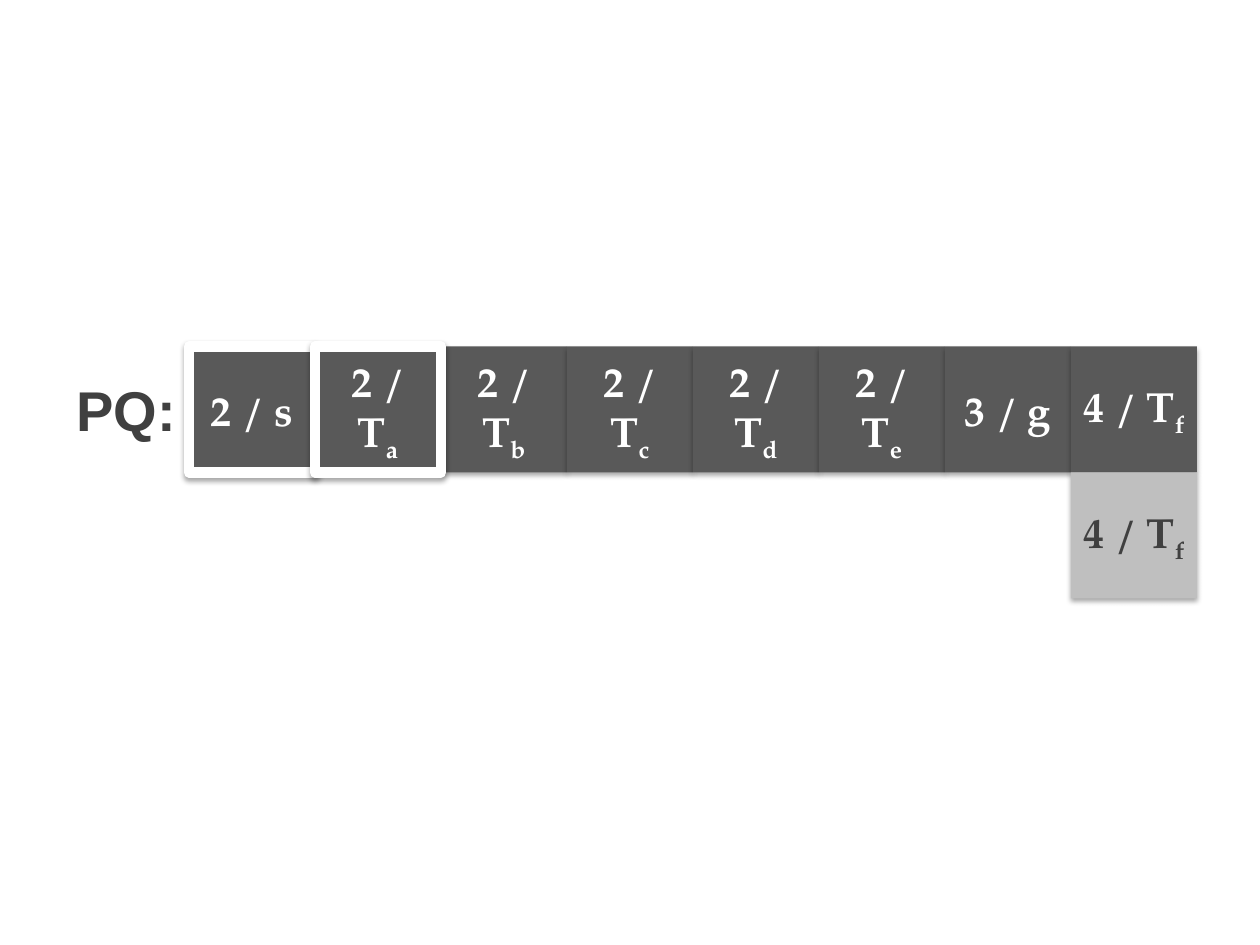
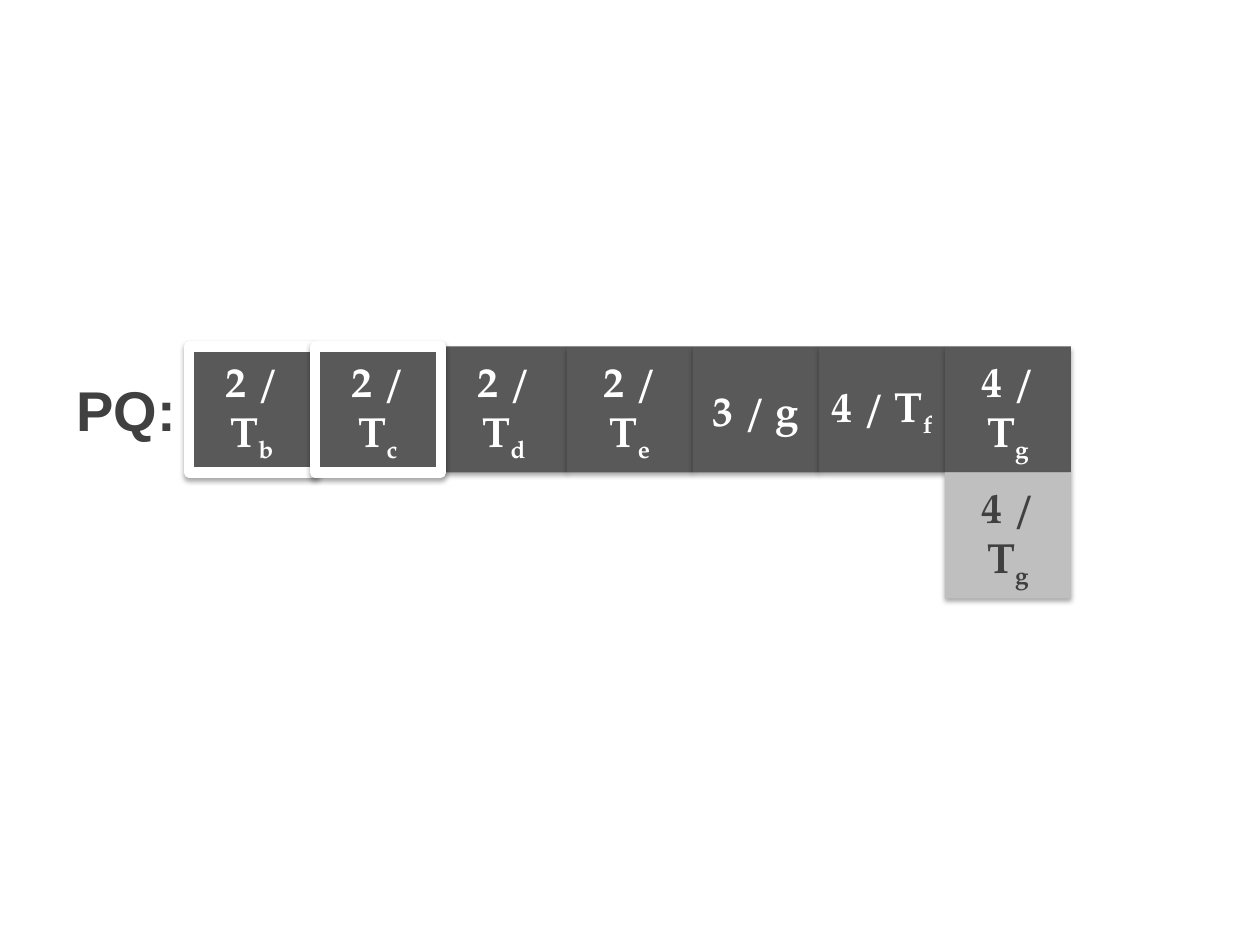
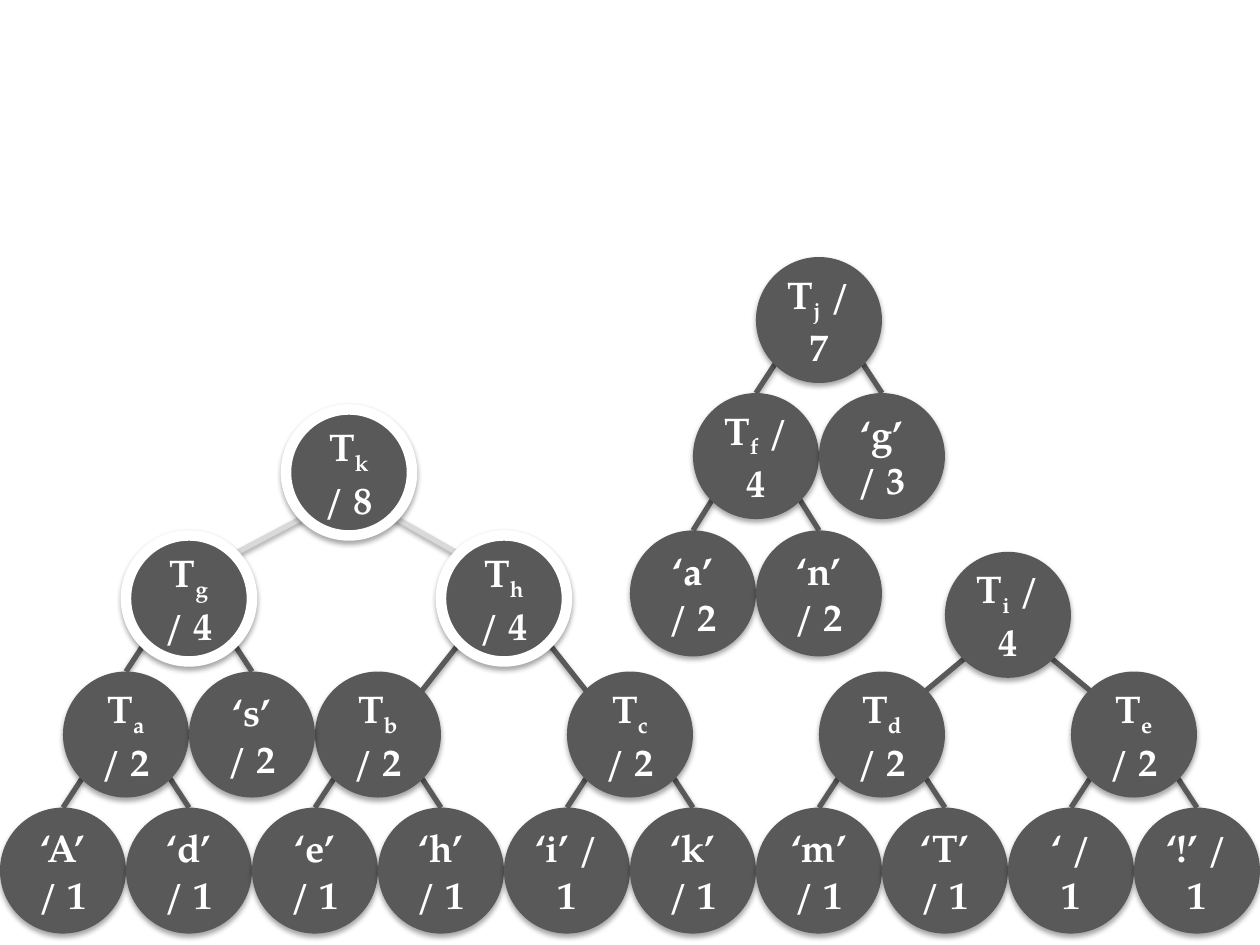
from dataclasses import dataclass
from typing import Any

from lxml import etree
from pptx import Presentation
from pptx import util as u
from pptx.dml.color import RGBColor
from pptx.enum import shapes, text
from pptx.oxml import ns

COLUMNS, ROWS = 10, 7.5
CELL = u.Inches(1)
DIAGONAL = 0.35
QUEUE_ROW, QUEUE_COLUMN = 2.75, 1.5
DARK, LIGHT, PALE, INK, WHITE = "595959", "BFBFBF", "D9D9D9", "404040", "FFFFFF"
SERIF = "TeX Gyre Pagella"


@dataclass(frozen=True)
class Queue:
    entries: list[str]
    marked: int = 2


@dataclass(frozen=True)
class Node:
    label: str
    column: float
    row: float
    parent: str = ""
    marked: bool = False


QUEUES = [
    Queue(["2 / s", "2 / T_a", "2 / T_b", "2 / T_c", "2 / T_d", "2 / T_e", "3 / g", "4 / T_f"]),
    Queue(["2 / T_b", "2 / T_c", "2 / T_d", "2 / T_e", "3 / g", "4 / T_f", "4 / T_g"]),
]

LEAF_ROW, PAIR_ROW = 6.41, 5.33
LEAVES = ["‘A’", "‘d’", "‘e’", "‘h’", "‘i’", "‘k’", "‘m’", "‘T’", "‘", "‘!’"]
PAIRS = ["T_a / 2", "T_b / 2", "T_c / 2", "T_d / 2", "T_e / 2"]
PAIR_PARENTS = ["T_g / 4", "T_h / 4", "T_h / 4", "T_i / 4", "T_i / 4"]

FOREST = [
    *(Node(f"{leaf} / 1", i, LEAF_ROW, PAIRS[i // 2]) for i, leaf in enumerate(LEAVES)),
    *(Node(pair, 2 * i + 0.5, PAIR_ROW, parent)
      for i, (pair, parent) in enumerate(zip(PAIRS, PAIR_PARENTS))),
    Node("‘s’ / 2", 1.5, PAIR_ROW, "T_g / 4"),
    Node("T_i / 4", 7.5, 4.38),
    Node("‘a’ / 2", 5, 4.21, "T_f / 4"),
    Node("‘n’ / 2", 6, 4.21, "T_f / 4"),
    Node("T_f / 4", 5.5, 3.12, "T_j / 7"),
    Node("‘g’ / 3", 6.5, 3.12, "T_j / 7"),
    Node("T_j / 7", 6, 2.04),
    Node("T_k / 8", 2.27, 3.25, marked=True),
    Node("T_g / 4", 1, 4.25, "T_k / 8", True),
    Node("T_h / 4", 3.5, 4.25, "T_k / 8", True),
]


def rgb(value: str) -> RGBColor:
    return RGBColor.from_string(value)


def grid(*units: float) -> list[int]:
    return [int(CELL * unit) for unit in units]


def cast_shadow(effects: Any) -> None:
    shadow = etree.SubElement(effects, ns.qn("a:outerShdw"), blurRad=str(u.Pt(3.1)),
                              dist=str(u.Pt(1.8)), dir="5400000", rotWithShape="0")
    black = etree.SubElement(shadow, ns.qn("a:srgbClr"), val="000000")
    etree.SubElement(black, ns.qn("a:alpha"), val="35000")


def write(shape: Any, label: str, size: float, color: str, font: str = SERIF) -> None:
    frame = shape.text_frame
    frame.word_wrap = True
    frame.vertical_anchor = text.MSO_ANCHOR.MIDDLE
    paragraph = frame.paragraphs[0]
    paragraph.alignment = text.PP_ALIGN.CENTER
    base, _, rest = label.partition("_")
    for part, lowered in ((base, False), (rest[:1], True), (rest[1:], False)):
        if not part:
            continue
        run = paragraph.add_run()
        run.text = part
        for name, value in {"size": u.Pt(size), "bold": True, "name": font}.items():
            setattr(run.font, name, value)
        run.font.color.rgb = rgb(color)
        if lowered:
            run.font._element.set("baseline", "-25000")


def add_item(slide: Any, kind: Any, label: str, column: float, row: float, size: float,
             fill: str = DARK, ink: str = WHITE, marked: bool = False) -> None:
    item = slide.shapes.add_shape(kind, *grid(column, row, 1, 1))
    item.fill.solid()
    item.fill.fore_color.rgb = rgb(fill)
    if marked:
        item.line.color.rgb = rgb(WHITE)
        item.line.width = u.Pt(6)
    else:
        item.line.fill.background()
    item.shadow.inherit = False
    cast_shadow(item._element.spPr.find(ns.qn("a:effectLst")))
    write(item, label, size, ink)


def add_edge(slide: Any, child: Node, parent: Node) -> None:
    offset = parent.column - child.column
    side = DIAGONAL if offset > 0 else -DIAGONAL
    child_x, child_y = child.column + 0.5, child.row
    if abs(offset) > 0.5:
        child_x, child_y = child_x + side, child_y + 0.5 - DIAGONAL
    parent_x, parent_y = parent.column + 0.5 - side, parent.row + 0.5 + DIAGONAL
    edge = slide.shapes.add_connector(shapes.MSO_CONNECTOR.STRAIGHT,
                                      *grid(child_x, child_y, parent_x, parent_y))
    edge.line.color.rgb = rgb(PALE if child.marked else DARK)
    edge.line.width = u.Pt(3)
    cast_shadow(etree.SubElement(edge._element.spPr, ns.qn("a:effectLst")))


def draw_queue(slide: Any, queue: Queue) -> None:
    heading = slide.shapes.add_textbox(*grid(QUEUE_COLUMN - 1, QUEUE_ROW, 1, 1))
    write(heading, "PQ:", 32, INK, "Arial")
    box = shapes.MSO_SHAPE.RECTANGLE
    entries = list(enumerate(queue.entries))
    for i, entry in entries[queue.marked:] + entries[:queue.marked]:
        add_item(slide, box, entry, QUEUE_COLUMN + i, QUEUE_ROW, 24, marked=i < queue.marked)
    last, newest = entries[-1]
    add_item(slide, box, newest, QUEUE_COLUMN + last, QUEUE_ROW + 1, 24, LIGHT, INK)


def draw_forest(slide: Any, forest: list[Node]) -> None:
    by_label = {node.label: node for node in forest}
    for node in forest:
        if node.parent:
            add_edge(slide, node, by_label[node.parent])
    for node in forest:
        add_item(slide, shapes.MSO_SHAPE.OVAL, node.label, node.column, node.row, 22,
                 marked=node.marked)


def main() -> None:
    deck = Presentation()
    deck.slide_width, deck.slide_height = grid(COLUMNS, ROWS)
    blank = deck.slide_layouts[6]
    for queue in QUEUES:
        draw_queue(deck.slides.add_slide(blank), queue)
    draw_forest(deck.slides.add_slide(blank), FOREST)
    deck.save("out.pptx")


if __name__ == "__main__":
    main()
